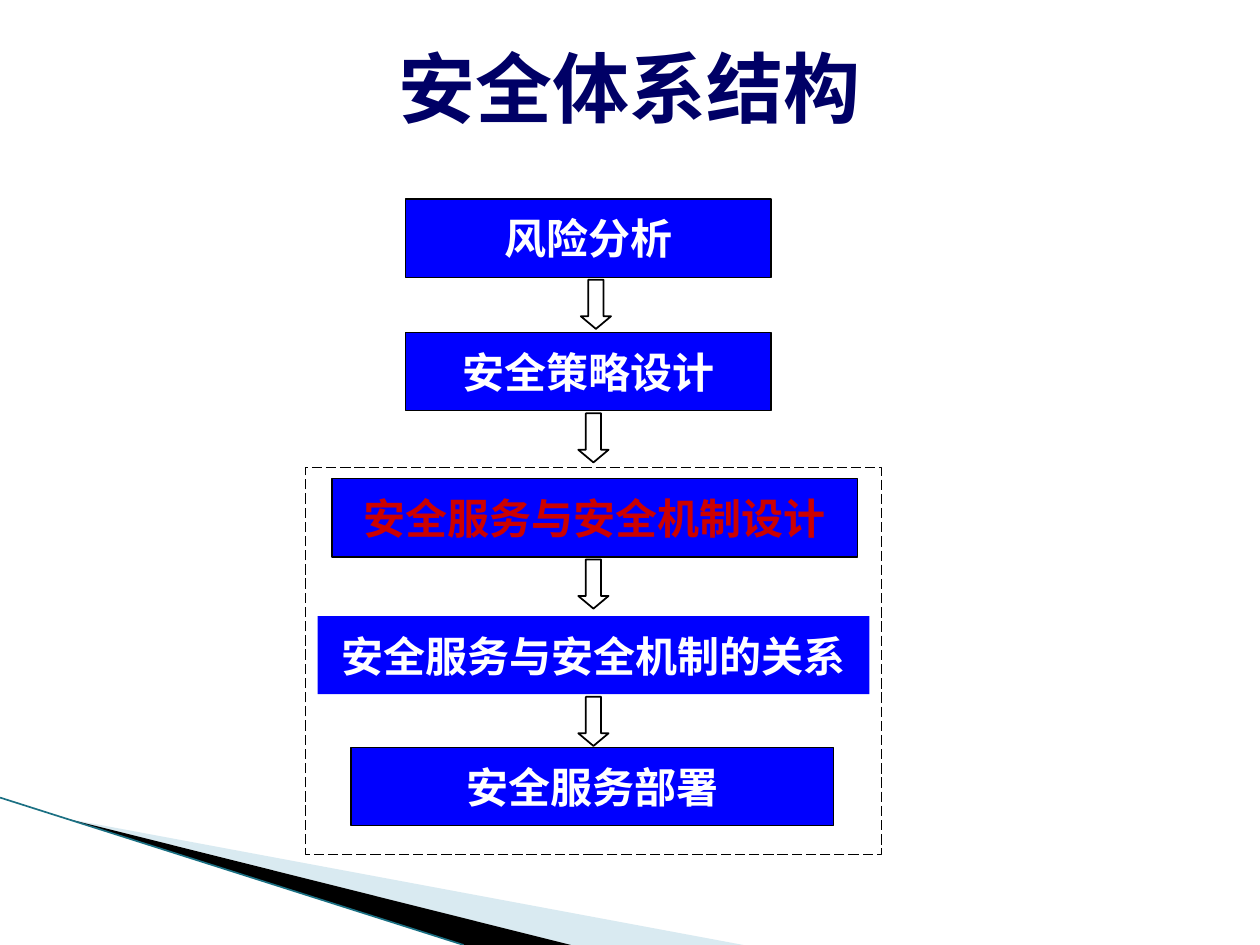
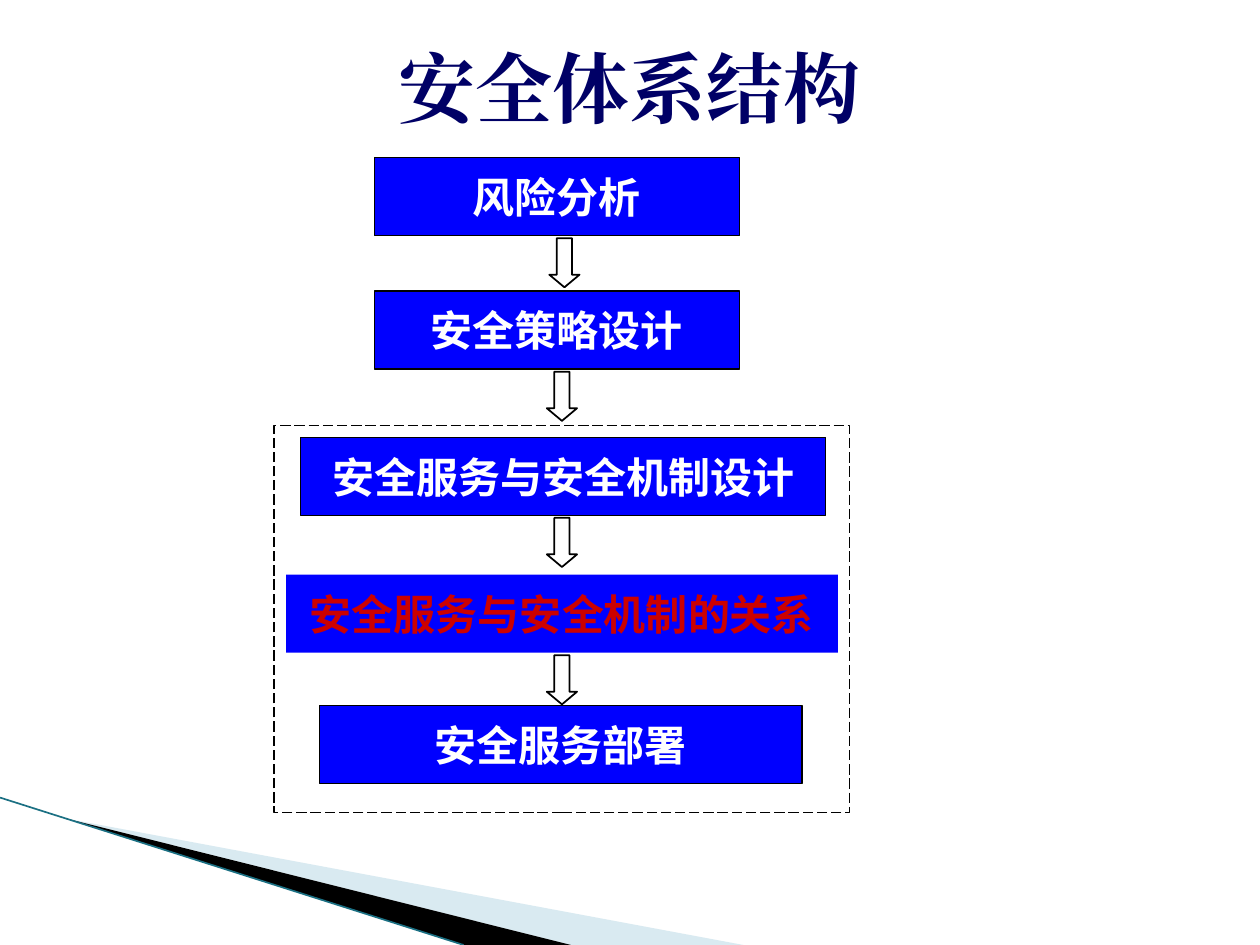
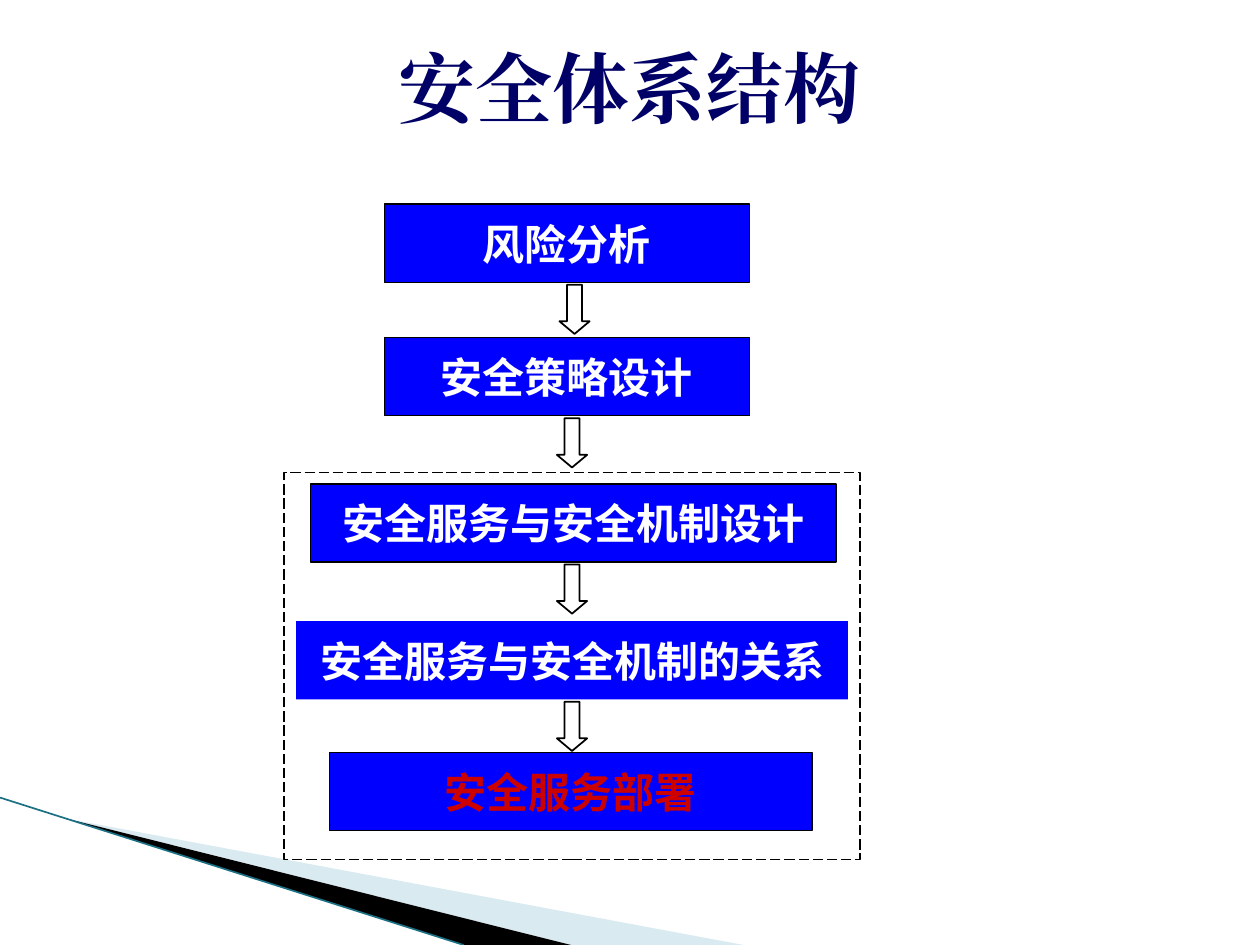
from dataclasses import dataclass

from lxml.etree import SubElement
from pptx import Presentation
from pptx.dml.color import RGBColor
from pptx.enum.dml import MSO_LINE
from pptx.enum.shapes import MSO_CONNECTOR, MSO_SHAPE
from pptx.enum.text import MSO_ANCHOR, MSO_AUTO_SIZE, PP_ALIGN
from pptx.oxml.ns import qn
from pptx.util import Inches, Pt

# Shared look
WHITE = RGBColor(0xFF, 0xFF, 0xFF)
BLACK = RGBColor(0x00, 0x00, 0x00)
NAVY = RGBColor(0x00, 0x00, 0x66)
BLUE = RGBColor(0x00, 0x00, 0xFF)
RED = RGBColor(0xCC, 0x00, 0x00)
PALE_BLUE = RGBColor(0xA0, 0xCB, 0xDC)
TEAL = RGBColor(0x1B, 0x70, 0x83)
STEP_FONT = "Karla"
TITLE = "安全体系结构"

# Slide and flow chart measures, in inches
SLIDE_W, SLIDE_H = 10, 7.5
FRAME_W, FRAME_H, FRAME_DROP = 4.57, 3.07, 2.13
STEP_H = 0.62
ARROW_W, ARROW_H, ARROW_GAP = 0.24, 0.39, 0.02


@dataclass
class Step:
    label: str
    width: float
    drop: float  # from the top of the flow
    shift: float = 0  # from the centre line
    arrow_shift: float = 0
    outlined: bool = True


STEPS = [
    Step("风险分析", 2.9, 0, shift=-0.04, arrow_shift=0.02),
    Step("安全策略设计", 2.9, 1.06, shift=-0.04),
    Step("安全服务与安全机制设计", 4.17, 2.22, shift=0.01),
    Step("安全服务与安全机制的关系", 4.38, 3.31, outlined=False),
    Step("安全服务部署", 3.83, 4.35, shift=-0.01),
]

# Title font, centre line and top of the flow, highlighted step
PAGES = [
    ("Courier New", 4.71, 1.58, 2),
    ("Times New Roman", 4.46, 1.25, 3),
    ("Times New Roman", 4.54, 1.62, 4),
]


def write(shape, text, font_name, size, color):
    """Put one centred bold line into a shape."""
    frame = shape.text_frame
    frame.auto_size = MSO_AUTO_SIZE.NONE
    frame.vertical_anchor = MSO_ANCHOR.MIDDLE
    para = frame.paragraphs[0]
    para.alignment = PP_ALIGN.CENTER
    span = para.add_run()
    span.text = text
    font = span.font
    font.name, font.size, font.bold = font_name, Pt(size), True
    font.color.rgb = color
    SubElement(font._element, qn("a:ea"), typeface=font_name)


def paint(shape, fill=None, line=None, weight=0.75):
    shape.shadow.inherit = False
    if fill is None:
        shape.fill.background()
    else:
        shape.fill.solid()
        shape.fill.fore_color.rgb = fill
    if line is None:
        shape.line.fill.background()
    else:
        shape.line.color.rgb = line
        shape.line.width = Pt(weight)


def add_centred(group, preset, centre, top, width, height):
    return group.shapes.add_shape(preset, Inches(centre - width / 2), Inches(top),
                                  Inches(width), Inches(height))


def add_wedge(page, points, color, opacity=None):
    corners = [(Inches(x), Inches(y)) for x, y in points]
    builder = page.shapes.build_freeform(*corners[0])
    builder.add_line_segments(corners[1:], close=True)
    wedge = builder.convert_to_shape()
    paint(wedge, color)
    if opacity is not None:
        tint = wedge.fill._xPr.find(qn("a:solidFill"))[0]
        SubElement(tint, qn("a:alpha"), val=str(opacity * 1000))


def add_corner(page):
    """Draw the swoosh in the bottom left corner."""
    tip = (0.54, 6.5)
    add_wedge(page, [tip, (5.9, SLIDE_H), (4.53, SLIDE_H)], PALE_BLUE, 40)
    add_wedge(page, [tip, (4.53, SLIDE_H), (3.68, SLIDE_H)], BLACK)
    edge = page.shapes.add_connector(MSO_CONNECTOR.STRAIGHT, 0, Inches(6.33),
                                     Inches(3.68), Inches(SLIDE_H))
    edge.line.color.rgb = TEAL
    edge.line.width = Pt(0.95)
    SubElement(edge._element.spPr, qn("a:effectLst"))


def add_title(page, font_name):
    title = page.shapes.title
    title.left, title.top = Inches(0.2), Inches(0.22)
    title.width, title.height = Inches(SLIDE_W - 0.4), Inches(0.93)
    write(title, TITLE, font_name, 44, NAVY)


def add_step(group, step, centre, top, color):
    box = add_centred(group, MSO_SHAPE.RECTANGLE, centre + step.shift,
                      top + step.drop, step.width, STEP_H)
    paint(box, BLUE, BLACK if step.outlined else None)
    write(box, step.label, STEP_FONT, 24, color)
    box.text_frame.word_wrap = False


def add_arrow(group, step, centre, top):
    arrow = add_centred(group, MSO_SHAPE.DOWN_ARROW, centre + step.arrow_shift,
                        top + step.drop + STEP_H + ARROW_GAP, ARROW_W, ARROW_H)
    arrow.adjustments[0], arrow.adjustments[1] = 0.5, 0.417
    paint(arrow, line=BLACK, weight=1)


def add_flow(page, centre, top, highlighted):
    group = page.shapes.add_group_shape()
    # Dashed frame behind the last three steps
    frame = add_centred(group, MSO_SHAPE.RECTANGLE, centre, top + FRAME_DROP,
                        FRAME_W, FRAME_H)
    paint(frame, WHITE, BLACK)
    frame.line.dash_style = MSO_LINE.LONG_DASH
    # Steps, then the arrows between them
    for number, step in enumerate(STEPS):
        add_step(group, step, centre, top, RED if number == highlighted else WHITE)
    for step in STEPS[:-1]:
        add_arrow(group, step, centre, top)


def main():
    deck = Presentation()
    deck.slide_width, deck.slide_height = Inches(SLIDE_W), Inches(SLIDE_H)
    title_only = deck.slide_layouts[5]
    for title_font, centre, top, highlighted in PAGES:
        page = deck.slides.add_slide(title_only)
        add_corner(page)
        add_title(page, title_font)
        add_flow(page, centre, top, highlighted)
    deck.save("out.pptx")


if __name__ == "__main__":
    main()
